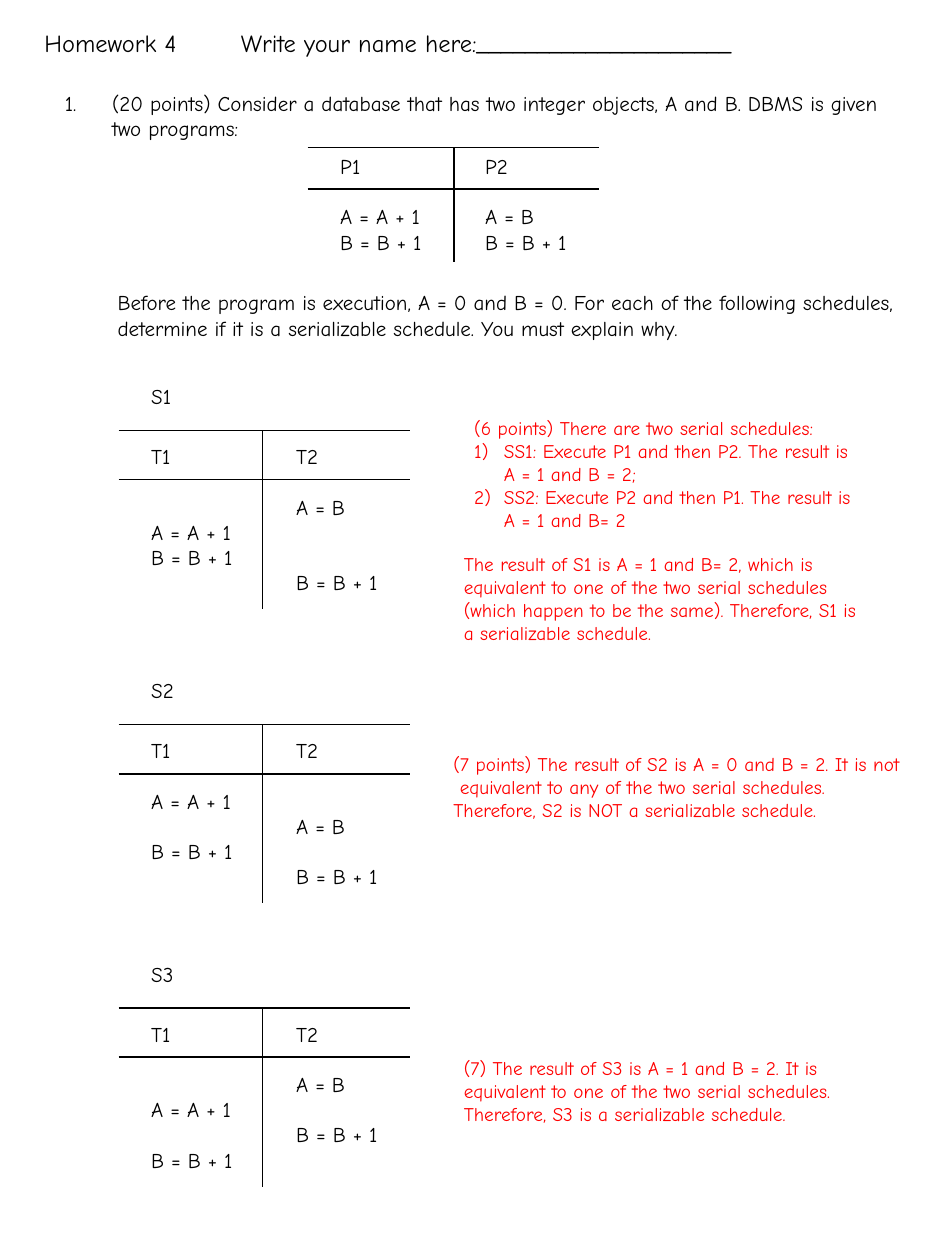
from lxml import etree
from pptx import Presentation
from pptx.dml.color import RGBColor
from pptx.enum.shapes import MSO_CONNECTOR
from pptx.enum.text import MSO_ANCHOR, MSO_AUTO_SIZE, PP_ALIGN
from pptx.oxml.ns import qn
from pptx.util import Cm, Pt

STRAIGHT = MSO_CONNECTOR.STRAIGHT
TOP = MSO_ANCHOR.TOP
LEFT = PP_ALIGN.LEFT
GROW = MSO_AUTO_SIZE.SHAPE_TO_FIT_TEXT
FIXED = MSO_AUTO_SIZE.NONE
TITLE_ONLY = 5


def color(value):
    return RGBColor.from_string(value)


class Worksheet:
    font = "Comic Neue"
    ink = "000000"
    answer_ink = "FF0000"
    body_size = 12
    answer_size = 11
    title_size = 14
    row_pitch = 14.4
    rule_width = 0.74

    def __init__(self, deck):
        self.slide = deck.slides.add_slide(deck.slide_layouts[TITLE_ONLY])

    def add_words(self, paragraph, words, size, ink):
        paragraph.alignment = LEFT
        run = paragraph.add_run()
        run.text = words
        run.font.name = self.font
        run.font.size = Pt(size)
        run.font.color.rgb = color(ink)

    def title(self, words, left, top, width, height, tab):
        heading = self.slide.shapes.title
        heading.left, heading.top = Cm(left), Cm(top)
        heading.width, heading.height = Cm(width), Cm(height)
        frame = heading.text_frame
        frame.vertical_anchor = TOP
        frame.auto_size = FIXED
        frame.word_wrap = True
        paragraph = frame.paragraphs[0]
        self.add_words(paragraph, words, self.title_size, self.ink)
        stops = etree.SubElement(paragraph._p.get_or_add_pPr(), qn("a:tabLst"))
        etree.SubElement(stops, qn("a:tab"), pos=str(Cm(tab)), algn="l")

    def text(self, lines, left, top, width, height, size=body_size, ink=ink):
        box = self.slide.shapes.add_textbox(Cm(left), Cm(top), Cm(width), Cm(height))
        frame = box.text_frame
        frame.word_wrap = True
        frame.auto_size = GROW
        for index, line in enumerate(lines):
            paragraph = frame.add_paragraph() if index else frame.paragraphs[0]
            self.add_words(paragraph, line, size, ink)
        return frame.paragraphs

    def answer(self, lines, left, top, width, height):
        return self.text(lines, left, top, width, height, self.answer_size, self.answer_ink)

    def number(self, paragraphs, style, indent):
        for paragraph in paragraphs:
            properties = paragraph._p.get_or_add_pPr()
            properties.set("marL", str(Cm(indent)))
            properties.set("indent", str(-Cm(indent)))
            etree.SubElement(properties, qn("a:buFont"), typeface=self.font)
            etree.SubElement(properties, qn("a:buAutoNum"), type=style)

    def rule(self, x1, y1, x2, y2):
        line = self.slide.shapes.add_connector(STRAIGHT, Cm(x1), Cm(y1), Cm(x2), Cm(y2))
        line.line.color.rgb = color(self.ink)
        line.line.width = Pt(self.rule_width)
        etree.SubElement(line._element.spPr, qn("a:effectLst"))

    def column(self, steps, left, top):
        rows = sorted(steps)
        height = 0.25 + 0.51 * (rows[-1] + 1)
        paragraphs = self.text([steps[row] for row in rows], left, top, 2.39, height)
        for paragraph, previous, row in zip(paragraphs[1:], rows, rows[1:]):
            paragraph.space_before = Pt((row - previous - 1) * self.row_pitch)

    def schedule(self, columns, left, top, divider, header, height, padding):
        self.rule(left + divider, top, left + divider, top + height)
        for y in (top, top + header):
            self.rule(left, y, left + 5.87, y)
        for index, steps in enumerate(columns):
            self.column(steps, left + 0.41 + index * 2.92, top + padding)


deck = Presentation()
deck.slide_width, deck.slide_height = Cm(19.05), Cm(25.4)
sheet = Worksheet(deck)

sheet.title("Homework 4\tWrite your name here:_____________________",
            0.64, 0.43, 18.2, 0.86, 3.96)
question = sheet.text(
    ["(20 points) Consider a database that has two integer objects, A and B. "
     "DBMS is given two programs:"], 1.06, 1.7, 16.93, 1.27)
sheet.number(question, "arabicPeriod", 0.95)

inc_a, inc_b, copy_b = "A = A + 1", "B = B + 1", "A = B"
programs = [{0: "P1", 2: inc_a, 3: inc_b}, {0: "P2", 2: copy_b, 3: inc_b}]
sheet.schedule(programs, 6.2, 2.97, 2.95, 0.84, 2.32, 0)

sheet.text(
    ["Before the program is execution, A = 0 and B = 0. For each of the following "
     "schedules, determine if it is a serializable schedule. You must explain why."],
    2.12, 5.72, 16.3, 1.27)

schedules = [
    ("S1", 8.68, {3: inc_a, 4: inc_b}, {2: copy_b, 5: inc_b}),
    ("S2", 14.61, {2: inc_a, 4: inc_b}, {3: copy_b, 5: inc_b}),
    ("S3", 20.32, {3: inc_a, 5: inc_b}, {2: copy_b, 4: inc_b}),
]
for name, top, first, second in schedules:
    sheet.text([name], 2.8, top - 1.07, 1.2, 0.76)
    sheet.schedule([{0: "T1", **first}, {0: "T2", **second}],
                   2.39, top, 2.9, 0.99, 3.6, 0.14)

serial_runs = sheet.answer(
    ["(6 points) There are two serial schedules:",
     "SS1: Execute P1 and then P2. The result is A = 1 and B = 2;",
     "SS2: Execute P2 and then P1. The result is A = 1 and B= 2"],
    9.31, 8.26, 8.36, 2.59)
sheet.number(serial_runs[1:], "arabicParenR", 0.6)
sheet.answer(
    ["The result of S1 is A = 1 and B= 2, which is equivalent to one of the two serial "
     "schedules (which happen to be the same). Therefore, S1 is a serializable schedule."],
    9.1, 11.01, 8.68, 2.13)
sheet.answer(
    ["(7 points) The result of S2 is A = 0 and B = 2. It is not  equivalent to any of "
     "the two serial schedules. Therefore, S2 is NOT a serializable schedule."],
    8.89, 15.04, 9.53, 1.65)
sheet.answer(
    ["(7) The result of S3 is A = 1 and B = 2. It is",
     "equivalent to one of the two serial schedules. Therefore, S3 is a serializable schedule."],
    9.1, 21.17, 9.53, 1.65)

deck.save("out.pptx")
